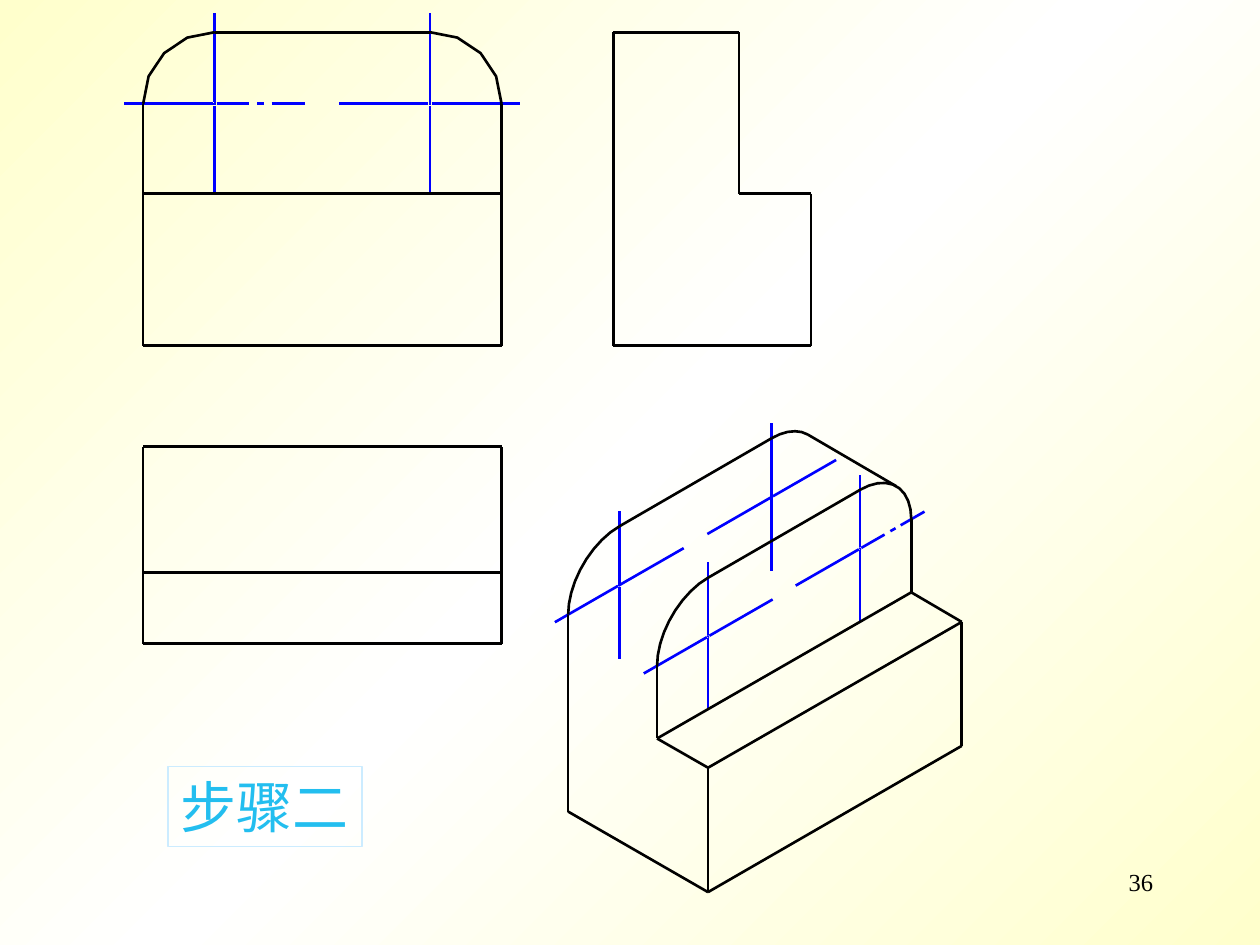
from copy import deepcopy
from itertools import pairwise
from math import cos, radians, sin

from pptx import Presentation
from pptx.dml.color import RGBColor
from pptx.enum.shapes import MSO_CONNECTOR as CONN, MSO_SHAPE as SHAPE
from pptx.enum.text import MSO_ANCHOR as ANCHOR, MSO_AUTO_SIZE as FIT, PP_ALIGN as ALIGN
from pptx.oxml.ns import qn
from pptx.util import Pt

FONT = "Times New Roman"
BLACK, BLUE = "000000", "0000FF"
FLAT, ISO = (1, 0), (0.87, -0.5)


def color(value):
    return RGBColor.from_string(value)


def set_background(s):
    fill = s.background.fill
    fill.gradient()
    fill.gradient_angle = 315
    first = fill.gradient_stops[0]._gs
    first.getparent().append(deepcopy(first))
    for stop, pos, value in zip(fill.gradient_stops, (0, 0.5, 1), ("FFFFCC", "FFFFFF", "FFFFCC")):
        stop.position = pos
        stop.color.rgb = color(value)


def add_edges(s, points, value=BLACK):
    for (x1, y1), (x2, y2) in pairwise(points):
        line = s.shapes.add_connector(CONN.STRAIGHT, Pt(x1), Pt(y1), Pt(x2), Pt(y2))
        line.line.color.rgb = color(value)
        line.line.width = Pt(1.5)
        line._element.spPr.append(line._element.makeelement(qn("a:effectLst"), {}))


def on_axes(center, axis, along, up):
    return center[0] + along * axis[0], center[1] + along * axis[1] - up


def add_center_mark(s, center, axis, arm, dashed=False):
    solid = [(0.02, 1)]
    dashes = [(0.02, 0.38), (0.47, 0.55), (0.63, 1)] if dashed else solid
    core = [(-0.01, 0.01)]
    strokes = ((1, 0, core), (0, 1, core), (-1, 0, solid), (1, 0, dashes), (0, -1, solid), (0, 1, solid))
    for dx, dy, parts in strokes:
        for part in parts:
            add_edges(s, [on_axes(center, axis, dx * arm * f, dy * arm * f) for f in part], BLUE)


def add_arc(s, center, axis, radius, start, stop, steps):
    angles = [radians(start + (stop - start) * i / steps) for i in range(steps + 1)]
    points = [on_axes(center, axis, radius * cos(a), radius * sin(a)) for a in angles]
    points = [(Pt(x), Pt(y)) for x, y in points]
    builder = s.shapes.build_freeform(*points[0])
    builder.add_line_segments(points[1:], close=False)
    sp = builder.convert_to_shape()
    sp.shadow.inherit = False
    sp.fill.background()
    sp.line.color.rgb = color(BLACK)
    sp.line.width = Pt(1.5)


def write_text(sp, text, size, value, align):
    p = sp.text_frame.paragraphs[0]
    p.alignment = align
    r = p.add_run()
    r.text = text
    r.font.name = FONT
    r.font.size = Pt(size)
    r.font.color.rgb = color(value)


def add_page_number(s):
    sp = s.shapes.add_textbox(Pt(516), Pt(492), Pt(150), Pt(36))
    sp.text_frame.word_wrap = True
    write_text(sp, "36", 14, BLACK, ALIGN.RIGHT)


def add_step_label(s):
    sp = s.shapes.add_shape(SHAPE.RECTANGLE, Pt(96), Pt(437.8), Pt(110.8), Pt(46))
    sp.shadow.inherit = False
    sp.fill.background()
    sp.line.color.rgb = color("CCECFF")
    sp.line.width = Pt(0)
    tf = sp.text_frame
    tf.word_wrap = False
    tf.auto_size = FIT.SHAPE_TO_FIT_TEXT
    tf.vertical_anchor = ANCHOR.TOP
    write_text(sp, "步骤二", 32, "23BEEF", ALIGN.CENTER)


def add_front_view(s, left, right, top, step, bottom):
    radius = 40.9
    y = top + radius
    a, b = (left + radius, y), (right - radius, y)
    add_center_mark(s, a, FLAT, 51.7, dashed=True)
    add_center_mark(s, b, FLAT, 51.7)
    add_edges(s, [(left, y), (left, step), (left, bottom), (right, bottom), (right, step), (right, y)])
    add_edges(s, [(left, step), (right, step)])
    add_edges(s, [(a[0], top), (b[0], top)])
    add_arc(s, a, FLAT, radius, 90, 180, 4)
    add_arc(s, b, FLAT, radius, 0, 90, 4)


def add_side_view(s, top, y, step, bottom):
    back, wall, front = 350.5, 422.4, 463.5
    add_edges(s, [(back, top), (wall, top), (wall, y), (wall, step), (front, step),
                  (front, bottom), (back, bottom), (back, y), (back, top)])


def add_top_view(s, left, right):
    back, wall, front = 255.3, 327, 367.8
    a, b = left + 40.9, right - 40.9
    add_edges(s, [(left, back), (a, back), (b, back), (right, back), (right, wall), (right, front),
                  (left, front), (left, wall), (left, back)])
    add_edges(s, [(left, wall), (a, wall), (b, wall), (right, wall)])


def add_isometric_view(s):
    radius, arm = 33.6, 42.3
    back_left, back_right = (353.9, 334.4), (441, 284)
    front_left, front_right = (404.7, 363.7), (491.5, 313.5)
    for center in (front_left, front_right, back_right, back_left):
        add_center_mark(s, center, ISO, arm, dashed=center == front_right)
    for a, b in ((back_left, back_right), (front_left, front_right)):
        add_edges(s, [on_axes(a, ISO, 0, radius), on_axes(b, ISO, 0, radius)])
        add_arc(s, a, ISO, radius, 90, 180, 9)
    add_arc(s, back_right, ISO, radius, 45, 90, 5)
    add_arc(s, front_right, ISO, radius, 0, 90, 9)
    tangent = radius * cos(radians(45))
    add_edges(s, [on_axes(c, ISO, tangent, tangent) for c in (back_right, front_right)])

    back_top = on_axes(back_left, ISO, -radius, 0)
    wall_left_top = on_axes(front_left, ISO, -radius, 0)
    wall_right_top = on_axes(front_right, ISO, radius, 0)
    wall_left, wall_right = (wall_left_top[0], 422), (wall_right_top[0], 338.5)
    step_left, step_right = (404.6, 438.7), (549.6, 355.4)
    base_left, base_right = (404.6, 509.8), (549.6, 426.2)
    add_edges(s, [wall_right_top, wall_right, step_right, base_right, base_left,
                  (back_top[0], 463.8), back_top])
    add_edges(s, [wall_left_top, wall_left, step_left, base_left])
    add_edges(s, [wall_left, wall_right])
    add_edges(s, [step_left, step_right])


def main():
    prs = Presentation()
    prs.slide_width, prs.slide_height = Pt(720), Pt(540)
    s = prs.slides.add_slide(prs.slide_layouts[6])
    set_background(s)
    left, right = 81.8, 286.6
    top, step, bottom = 18.4, 110.6, 197.6
    add_page_number(s)
    add_front_view(s, left, right, top, step, bottom)
    add_top_view(s, left, right)
    add_side_view(s, top, top + 40.9, step, bottom)
    add_isometric_view(s)
    add_step_label(s)
    prs.save("out.pptx")


if __name__ == "__main__":
    main()
